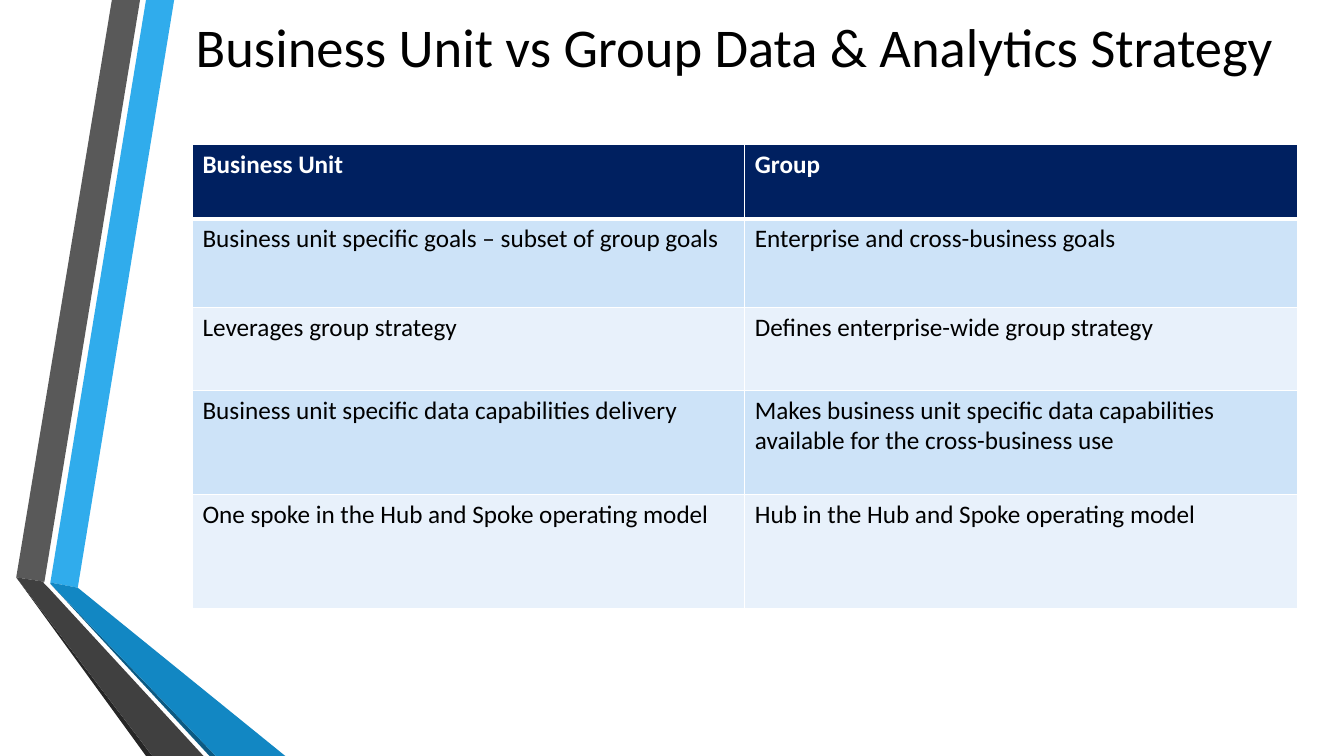
from lxml import etree
from pptx import Presentation
from pptx.dml.color import RGBColor
from pptx.enum.text import MSO_ANCHOR, PP_ALIGN
from pptx.oxml.ns import qn
from pptx.util import Cm, Pt

LEFT = PP_ALIGN.LEFT
MIDDLE = MSO_ANCHOR.MIDDLE
FONT = "Calibri"
TITLE_LAYOUT = 5

COLORS = {
    "white": "FFFFFF",
    "black": "000000",
    "navy": "002060",
    "band_dark": "CDE3F8",
    "band_light": "E8F1FB",
    "sky": "30ACEC",
    "blue": "1287C3",
    "deep_blue": "0C5A82",
    "gray": "595959",
    "dark_gray": "404040",
    "near_black": "262626",
}

RIBBONS = [
    ("sky", [(127, 1468), (196, 1481), (439, 0), (368, 0)]),
    ("gray", [(353, 0), (282, 0), (41, 1455), (112, 1466)]),
    ("near_black", [(41, 1455), (368, 1905), (384, 1905)]),
    ("deep_blue", [(127, 1471), (528, 1905), (544, 1905)]),
    ("blue", [(127, 1471), (544, 1905), (719, 1905), (196, 1481), (127, 1468)]),
    ("dark_gray", [(513, 1905), (122, 1481), (109, 1468), (112, 1466),
                   (41, 1455), (384, 1905)]),
]

ROWS = [
    (1.88, "Business Unit", "Group"),
    (2.24, "Business unit specific goals – subset of group goals",
     "Enterprise and cross-business goals"),
    (2.08, "Leverages group strategy", "Defines enterprise-wide group strategy"),
    (2.64, "Business unit specific data capabilities delivery",
     "Makes business unit specific data capabilities available for the cross-business use"),
    (2.87, "One spoke in the Hub and Spoke operating model",
     "Hub in the Hub and Spoke operating model"),
]


def rgb(name):
    return RGBColor.from_string(COLORS[name])


def format_text(p, size, color, bold=False):
    for r in p.runs:
        r.font.name = FONT
        r.font.size = Pt(size)
        r.font.bold = bold
        r.font.color.rgb = rgb(color)


def add_ribbon(s, color, points):
    builder = s.shapes.build_freeform(*points[0], scale=Cm(0.01))
    builder.add_line_segments(points[1:], close=True)
    sp = builder.convert_to_shape()
    sp.shadow.inherit = False
    sp.fill.solid()
    sp.fill.fore_color.rgb = rgb(color)
    sp.line.fill.background()


def add_title(s, text):
    sp = s.shapes.title
    sp.left, sp.top, sp.width, sp.height = Cm(4.37), Cm(0), Cm(29.5), Cm(2.29)
    tf = sp.text_frame
    tf.text = text
    tf.word_wrap = True
    tf.vertical_anchor = MIDDLE
    tf.margin_left = Cm(0.56)
    p = tf.paragraphs[0]
    p.alignment = LEFT
    format_text(p, 39, "black")


def set_borders(cell, widths):
    tcPr = cell._tc.get_or_add_tcPr()
    for side, width in widths.items():
        ln = etree.SubElement(tcPr, qn(f"a:ln{side}"), w=str(Pt(width)))
        fill = etree.SubElement(ln, qn("a:solidFill"))
        etree.SubElement(fill, qn("a:srgbClr"), val=COLORS["white"])


def format_cell(cell, text, row):
    set_borders(cell, {"L": 1, "R": 1, "T": 3 if row == 1 else 1,
                       "B": 3 if row == 0 else 1})
    header = row == 0
    band = "band_dark" if row % 2 else "band_light"
    cell.fill.solid()
    cell.fill.fore_color.rgb = rgb("navy" if header else band)
    cell.text_frame.text = text
    format_text(cell.text_frame.paragraphs[0], 18,
                "white" if header else "black", header)


def add_comparison(s):
    height = sum(row[0] for row in ROWS)
    table = s.shapes.add_table(len(ROWS), 2, Cm(4.85), Cm(3.63),
                               Cm(27.84), Cm(height)).table
    for i, (row_height, *texts) in enumerate(ROWS):
        table.rows[i].height = Cm(row_height)
        for j, text in enumerate(texts):
            format_cell(table.cell(i, j), text, i)


def main():
    prs = Presentation()
    prs.slide_width, prs.slide_height = Cm(33.87), Cm(19.05)
    s = prs.slides.add_slide(prs.slide_layouts[TITLE_LAYOUT])
    for color, points in RIBBONS:
        add_ribbon(s, color, points)
    add_comparison(s)
    add_title(s, "Business Unit vs Group Data & Analytics Strategy")
    prs.save("out.pptx")


if __name__ == "__main__":
    main()
